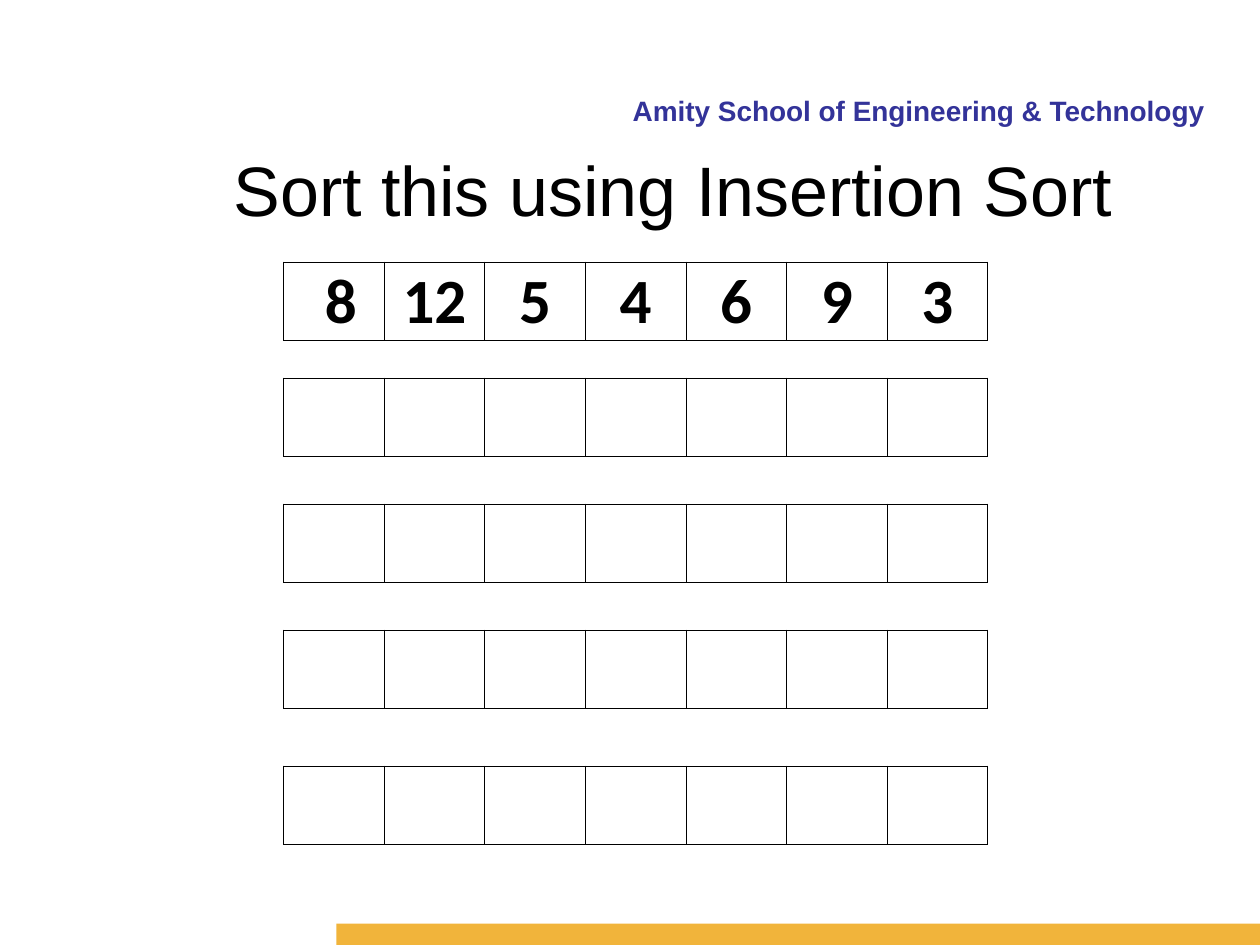
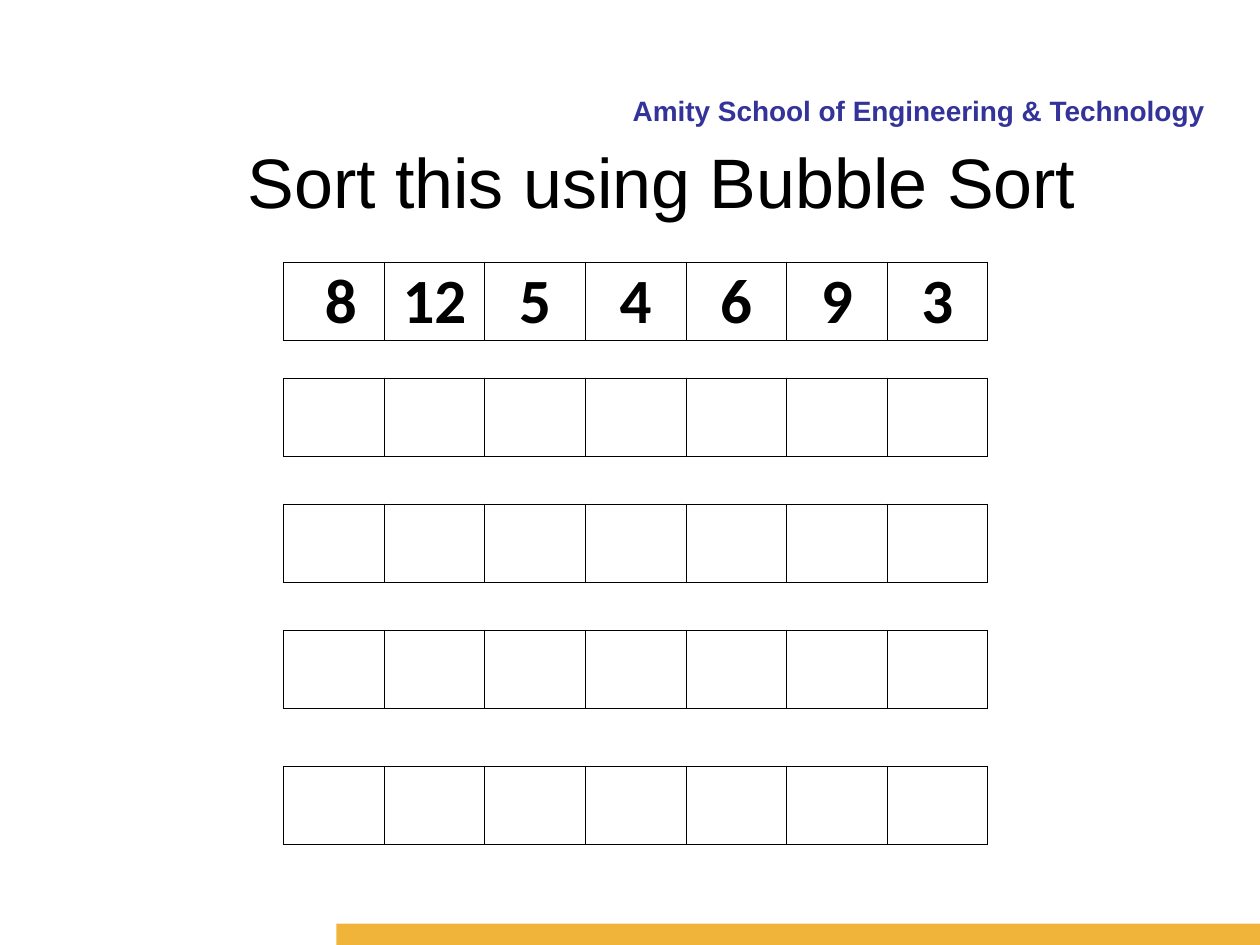
"""Builds two sorting exercise slides with a row of numbers and blank rows to fill in."""
from lxml import etree
from pptx import Presentation
from pptx.dml.color import RGBColor
from pptx.enum.shapes import MSO_SHAPE
from pptx.enum.text import MSO_ANCHOR, PP_ALIGN
from pptx.oxml.ns import qn
from pptx.util import Inches, Pt

RECTANGLE = MSO_SHAPE.RECTANGLE
TOP, BOTTOM = MSO_ANCHOR.TOP, MSO_ANCHOR.BOTTOM
CENTER, RIGHT = PP_ALIGN.CENTER, PP_ALIGN.RIGHT

SCHOOL = "Amity School of Engineering & Technology"
EXERCISES = [
    {"title": "Sort this using Insertion Sort", "title_box": (0.84, 1.06, 9, 0.85)},
    {"title": "Sort this using Bubble Sort", "title_box": (0.75, 1, 9, 1.25)},
]
NUMBERS = ["8", "12", "5", "4", "6", "9", "3"]
BLANKS = [""] * len(NUMBERS)
STEPS = [(2.08, NUMBERS), (3, BLANKS), (4, BLANKS), (5, BLANKS), (6.08, BLANKS)]

BLACK, NAVY, GOLD = "000000", "333399", "F1B43B"
SCHOOL_BOX = (4.08, 0.67, 5.58, 0.33)
BAND_BOX = (2.67, 7.33, 7.33, 0.17)
ROW_LEFT, ROW_WIDTH, ROW_HEIGHT = 2.25, 5.59, 0.62
CELL_INSET, FIRST_INDENT = 0.01, 0.11
BORDER_WIDTH = Pt(0.5)


def color(value):
    return RGBColor.from_string(value)


def inches(box):
    return [Inches(length) for length in box]


def write(frame, text, align, font_name, size, ink, bold):
    paragraph = frame.paragraphs[0]
    paragraph.alignment = align
    run = paragraph.add_run()
    run.text = text
    font = run.font
    font.name, font.size, font.bold = font_name, Pt(size), bold
    font.color.rgb = color(ink)


def add_label(slide, box, text, align, size, ink, bold, top_inset):
    frame = slide.shapes.add_textbox(*inches(box)).text_frame
    frame.word_wrap = True
    frame.vertical_anchor = TOP
    frame.margin_top = Inches(top_inset)
    write(frame, text, align, "Arial", size, ink, bold)


def add_shared_parts(slide):
    add_label(slide, SCHOOL_BOX, SCHOOL, RIGHT, 16, NAVY, True, 0.07)
    band = slide.shapes.add_shape(RECTANGLE, *inches(BAND_BOX))
    band.shadow.inherit = False
    band.fill.solid()
    band.fill.fore_color.rgb = color(GOLD)
    band.line.fill.background()


def add_borders(cell):
    properties = cell._tc.get_or_add_tcPr()
    for position, side in enumerate(("lnL", "lnR", "lnT", "lnB")):
        border = etree.Element(qn(f"a:{side}"), w=str(BORDER_WIDTH))
        fill = etree.SubElement(border, qn("a:solidFill"))
        etree.SubElement(fill, qn("a:srgbClr"), val=BLACK)
        properties.insert(position, border)


def add_step(slide, top, values):
    box = inches((ROW_LEFT, top, ROW_WIDTH, ROW_HEIGHT))
    table = slide.shapes.add_table(1, len(values), *box).table
    table.first_row = table.horz_banding = False
    for index, value in enumerate(values):
        table.columns[index].width = Inches(ROW_WIDTH / len(values))
        cell = table.cell(0, index)
        cell.fill.background()
        add_borders(cell)
        if value:
            indent = FIRST_INDENT if index == 0 else 0
            cell.margin_left = Inches(CELL_INSET + indent)
            cell.margin_right = cell.margin_top = Inches(CELL_INSET)
            cell.margin_bottom = 0
            cell.vertical_anchor = BOTTOM
            write(cell.text_frame, value, CENTER, "Calibri", 36, BLACK, True)


def main():
    deck = Presentation()
    deck.slide_width, deck.slide_height = Inches(10), Inches(7.5)
    for exercise in EXERCISES:
        slide = deck.slides.add_slide(deck.slide_layouts[6])
        add_shared_parts(slide)
        add_label(slide, exercise["title_box"], exercise["title"], CENTER, 40, BLACK, False, 0.1)
        for top, values in STEPS:
            add_step(slide, top, values)
    deck.save("out.pptx")


if __name__ == "__main__":
    main()
